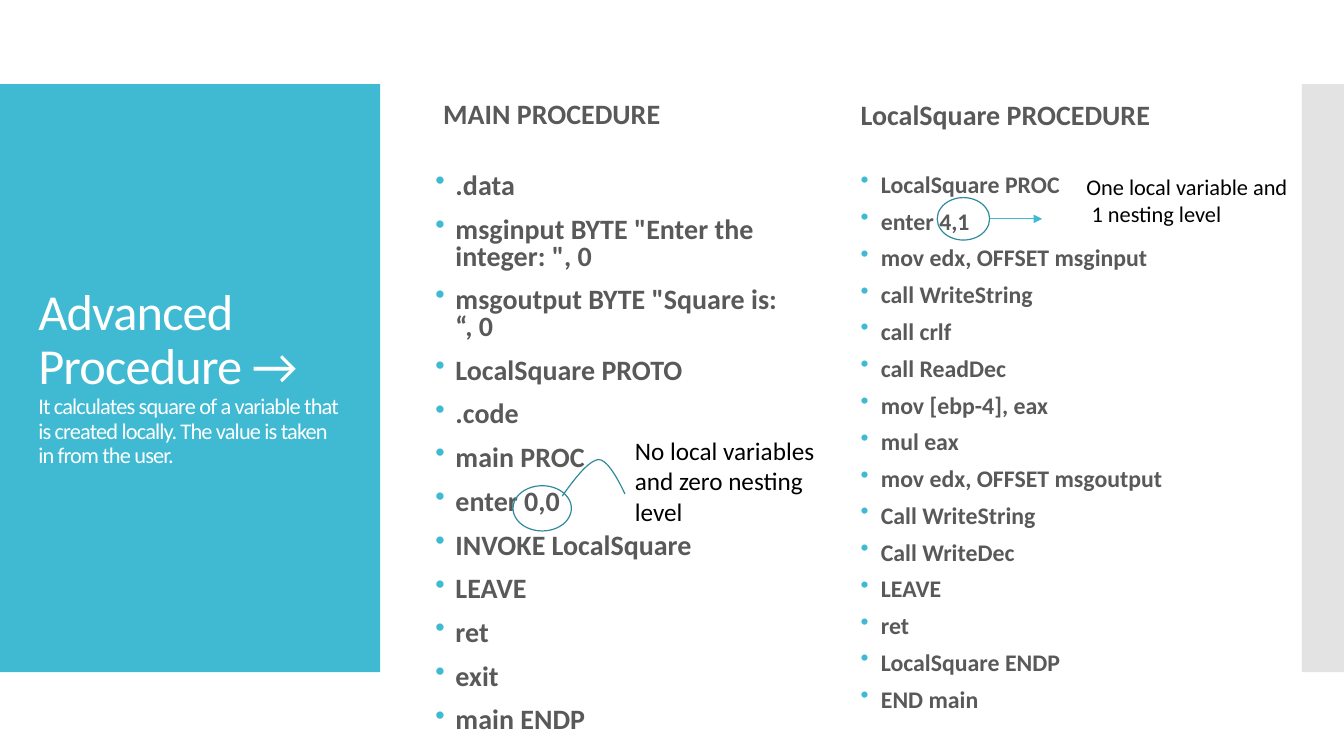
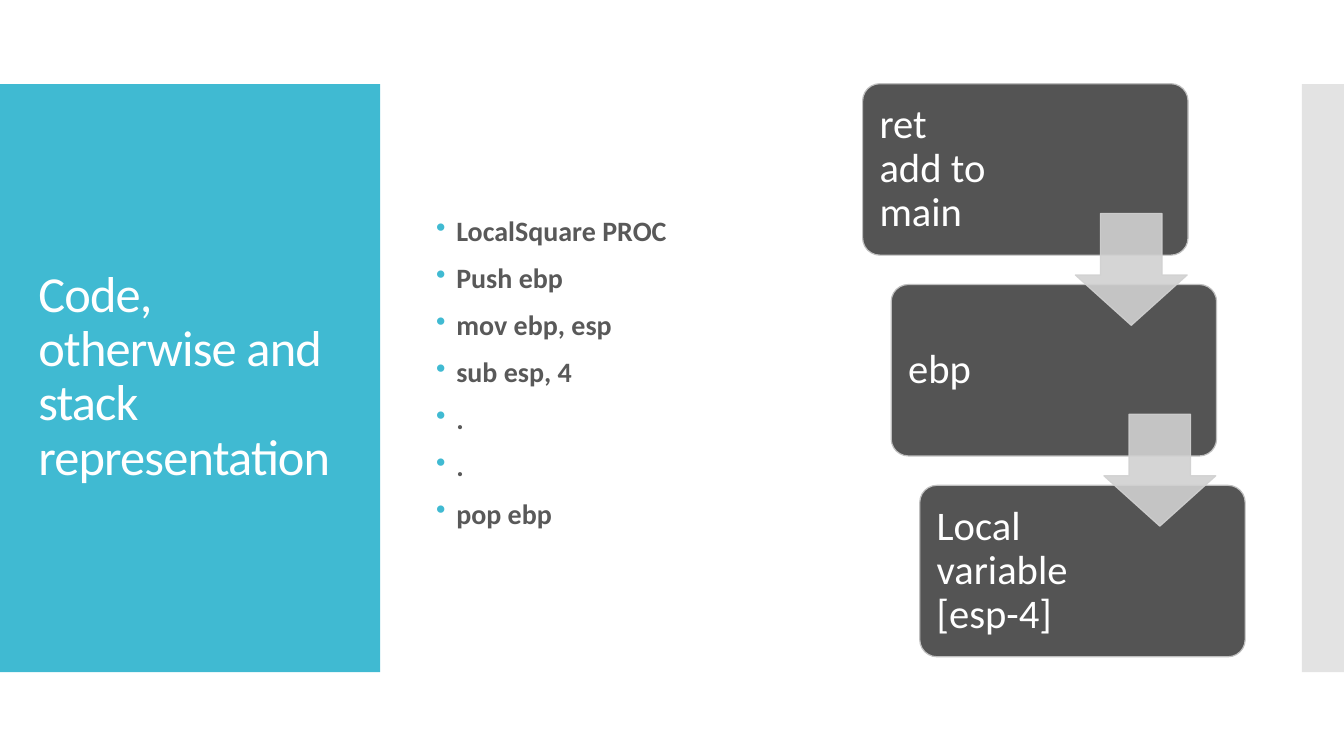
from lxml import etree
from pptx import Presentation
from pptx import util as u
from pptx.dml.color import RGBColor
from pptx.enum import shapes, text
from pptx.oxml.ns import qn

TEAL = RGBColor(0x40, 0xBA, 0xD2)
DARK_TEAL = RGBColor(0x2F, 0x8A, 0x9B)
BAND_GRAY = RGBColor(0xC8, 0xC8, 0xC8)
TEXT_GRAY = RGBColor(0x59, 0x59, 0x59)
BOX_GRAY = RGBColor(0x54, 0x54, 0x54)
EDGE_GRAY = RGBColor(0xBF, 0xBF, 0xBF)
ARROW_GRAY = RGBColor(0xD1, 0xD1, 0xD1)
WHITE = RGBColor(0xFF, 0xFF, 0xFF)
BLACK = RGBColor(0, 0, 0)
FONT = "Calibri"

BAND_TOP, BAND_HEIGHT = 2.12, 14.82
BANDS = [(0, 9.58, TEAL, 100), (32.81, 1.06, BAND_GRAY, 50)]
TITLE_BOX = (0.71, 3.12, 8.18, 12.78)

PROCEDURE_TITLE = "Advanced Procedure →"
PROCEDURE_SUBTITLE = (
    "It calculates square of a variable that is created locally. "
    "The value is taken in from the user."
)
STACK_TITLE = "Code, otherwise and stack representation"

MAIN_CODE = [
    ".data",
    'msginput BYTE "Enter the integer: ", 0',
    'msgoutput BYTE "Square is: “, 0',
    "LocalSquare PROTO",
    ".code",
    "main PROC",
    "enter 0,0",
    "INVOKE LocalSquare",
    "LEAVE",
    "ret",
    "exit",
    "main ENDP",
]
SQUARE_CODE = [
    "LocalSquare PROC",
    "enter 4,1",
    "mov edx, OFFSET msginput",
    "call WriteString",
    "call crlf",
    "call ReadDec",
    "mov [ebp-4], eax",
    "mul eax",
    "mov edx, OFFSET msgoutput",
    "Call WriteString",
    "Call WriteDec",
    "LEAVE",
    "ret",
    "LocalSquare ENDP",
    "END main",
]
STACK_CODE = [
    "LocalSquare PROC", "Push ebp", "mov ebp, esp", "sub esp, 4",
    ".", ".", "pop ebp",
]
HEADINGS = [
    ("MAIN PROCEDURE", (10.92, 1.17, 9.65, 2.24)),
    ("LocalSquare PROCEDURE", (21.44, 1.17, 9.65, 2.26)),
]
LISTINGS = [
    (MAIN_CODE, (10.72, 4.24, 9.65, 14.43), 20, 0.8),
    (SQUARE_CODE, (21.44, 4.24, 9.65, 13.94), 17, 0.7),
]
MAIN_NOTE = ["No local variables and zero nesting level"]
SQUARE_NOTE = ["One local variable and", "1 nesting level"]
OPERAND_RINGS = [(12.93, 12.24, 1.47, 1.14), (23.62, 4.98, 1.32, 1.07)]
NOTE_CURVES = [
    [(14.17, 12.5), (14.5, 12.04), (14.83, 11.61), (15.09, 11.58)],
    [(15.09, 11.58), (15.37, 11.58), (15.75, 12.45), (15.75, 12.45)],
]
CURVE_STEPS = 12

STACK_CELLS = [
    ("ret add to main", 4.83),
    ("ebp", 3.84),
    ("Local variable [esp-4]", 3.84),
]
CELL_LEFT, CELL_TOP, CELL_WIDTH, CELL_HEIGHT = 21.74, 2.11, 8.2, 4.32
STEP_X, STEP_Y = 0.72, 5.06
ARROW_DX, ARROW_DY, ARROW_SIZE = 5.36, 3.27, 2.82


def lengths(box):
    return [u.Cm(value) for value in box]


def add_bullet(paragraph):
    properties = paragraph._p.get_or_add_pPr()
    properties.set("marL", str(u.Cm(0.51)))
    properties.set("indent", str(-u.Cm(0.51)))
    color = etree.SubElement(properties, qn("a:buClr"))
    etree.SubElement(color, qn("a:srgbClr")).set("val", str(TEAL))
    etree.SubElement(properties, qn("a:buChar")).set("char", "•")


def write_text(shape, lines, size=20, color=TEXT_GRAY, bold=False,
               spacing=None, before=0, bullet=False, tracking=None,
               anchor=text.MSO_ANCHOR.MIDDLE):
    frame = shape.text_frame
    frame.word_wrap = True
    frame.auto_size = text.MSO_AUTO_SIZE.NONE
    frame.vertical_anchor = anchor
    for index, line in enumerate(lines):
        paragraph = frame.add_paragraph() if index else frame.paragraphs[0]
        if bullet:
            add_bullet(paragraph)
        paragraph.alignment = text.PP_ALIGN.LEFT
        paragraph.space_before = u.Pt(before if index else 0)
        if spacing:
            paragraph.line_spacing = spacing
        run = paragraph.add_run()
        run.text = line
        run.font.name = FONT
        run.font.size = u.Pt(size)
        run.font.bold = bold
        run.font.color.rgb = color
        if tracking:
            run._r.get_or_add_rPr().set("spc", str(int(tracking * 100)))


def add_text(slide, lines, box, **text_format):
    shape = slide.shapes.add_textbox(*lengths(box))
    write_text(shape, lines, **text_format)
    return shape


def style_shape(shape, fill=None, line=None, opacity=100):
    shape.shadow.inherit = False
    if fill is None:
        shape.fill.background()
    else:
        shape.fill.solid()
        shape.fill.fore_color.rgb = fill
    if line is None:
        shape.line.fill.background()
    else:
        shape.line.color.rgb = line
        shape.line.width = u.Pt(0.85)
    if opacity < 100:
        for color in shape._element.spPr.iter(qn("a:srgbClr")):
            etree.SubElement(color, qn("a:alpha")).set("val", str(opacity * 1000))


def add_preset(slide, kind, box, **style):
    shape = slide.shapes.add_shape(kind, *lengths(box))
    style_shape(shape, **style)
    return shape


def move_bands_to_layout(slide):
    layout_tree = slide.slide_layout.shapes._spTree
    for position, (left, width, color, opacity) in enumerate(BANDS):
        band = add_preset(slide, shapes.MSO_SHAPE.RECTANGLE,
                          (left, BAND_TOP, width, BAND_HEIGHT),
                          fill=color, opacity=opacity)
        layout_tree.insert(2 + position, band._element)


def add_titled_slide(presentation, title):
    slide = presentation.slides.add_slide(presentation.slide_layouts[5])
    placeholder = slide.shapes.title
    (placeholder.left, placeholder.top,
     placeholder.width, placeholder.height) = lengths(TITLE_BOX)
    write_text(placeholder, [title], size=36, color=WHITE,
               spacing=0.9, tracking=-0.6)
    return slide


def add_subtitle(slide, subtitle):
    frame = slide.shapes.title.text_frame
    paragraph = frame.add_paragraph()
    paragraph.alignment = text.PP_ALIGN.LEFT
    paragraph.line_spacing = 0.9
    paragraph.space_before = u.Pt(0)
    run = paragraph.add_run()
    run.text = subtitle
    run.font.name = FONT
    run.font.size = u.Pt(16)
    run.font.color.rgb = WHITE
    run._r.get_or_add_rPr().set("spc", "-60")


def curve_point(controls, t):
    weights = ((1 - t) ** 3, 3 * t * (1 - t) ** 2, 3 * t ** 2 * (1 - t), t ** 3)
    return tuple(u.Cm(sum(w * point[axis] for w, point in zip(weights, controls)))
                 for axis in (0, 1))


def add_note_curve(slide):
    points = [curve_point(controls, step / CURVE_STEPS)
              for controls in NOTE_CURVES for step in range(CURVE_STEPS + 1)]
    builder = slide.shapes.build_freeform(*points[0])
    builder.add_line_segments(points[1:], close=False)
    style_shape(builder.convert_to_shape(), line=DARK_TEAL)


def add_note_arrow(slide, ring):
    left, top, width, height = ring
    start, middle = left + width, top + height / 2
    connector = slide.shapes.add_connector(
        shapes.MSO_CONNECTOR.STRAIGHT,
        *lengths((start, middle, start + 1.32, middle)))
    connector.line.color.rgb = TEAL
    connector.line.width = u.Pt(0.75)
    line = connector.line._get_or_add_ln()
    etree.SubElement(line, qn("a:tailEnd")).set("type", "triangle")
    etree.SubElement(connector._element.spPr, qn("a:effectLst"))


def build_procedure_slide(presentation):
    slide = add_titled_slide(presentation, PROCEDURE_TITLE)
    move_bands_to_layout(slide)
    add_subtitle(slide, PROCEDURE_SUBTITLE)
    for heading, box in HEADINGS:
        add_text(slide, [heading], box, bold=True, spacing=0.9,
                 anchor=text.MSO_ANCHOR.BOTTOM)
    for code, box, size, spacing in LISTINGS:
        add_text(slide, code, box, size=size, bold=True, spacing=spacing,
                 before=12, bullet=True)
    for ring in OPERAND_RINGS:
        add_preset(slide, shapes.MSO_SHAPE.OVAL, ring, line=DARK_TEAL)
    add_note_curve(slide)
    add_note_arrow(slide, OPERAND_RINGS[1])
    add_text(slide, MAIN_NOTE, (15.75, 10.85, 6.05, 2.57), size=18,
             color=BLACK, anchor=text.MSO_ANCHOR.TOP)
    note = add_text(slide, SQUARE_NOTE, (27.13, 4.24, 6.05, 1.63), size=16,
                    color=BLACK, anchor=text.MSO_ANCHOR.TOP)
    second_line = note.text_frame.paragraphs[1]
    second_line._p.get_or_add_pPr().set("marL", str(u.Cm(0.13)))


def build_stack_slide(presentation):
    slide = add_titled_slide(presentation, STACK_TITLE)
    add_text(slide, STACK_CODE, (10.74, 5.36, 9.65, 11.18), bold=True,
             spacing=0.9, before=12, bullet=True, anchor=text.MSO_ANCHOR.TOP)
    corners = [(CELL_LEFT + i * STEP_X, CELL_TOP + i * STEP_Y)
               for i in range(len(STACK_CELLS))]
    for (label, right_margin), (left, top) in zip(STACK_CELLS, corners):
        cell = add_preset(slide, shapes.MSO_SHAPE.ROUNDED_RECTANGLE,
                          (left, top, CELL_WIDTH, CELL_HEIGHT),
                          fill=BOX_GRAY, line=EDGE_GRAY)
        cell.adjustments[0] = 0.1
        cell.text_frame.margin_left = u.Cm(0.3)
        cell.text_frame.margin_right = u.Cm(right_margin)
        write_text(cell, [label], size=29, color=WHITE, spacing=0.9)
    for left, top in corners[:-1]:
        arrow = add_preset(slide, shapes.MSO_SHAPE.DOWN_ARROW,
                           (left + ARROW_DX, top + ARROW_DY,
                            ARROW_SIZE, ARROW_SIZE),
                           fill=ARROW_GRAY, line=ARROW_GRAY, opacity=90)
        arrow.adjustments[0] = 0.55
        arrow.adjustments[1] = 0.45


def main():
    presentation = Presentation()
    presentation.slide_width = u.Cm(33.87)
    presentation.slide_height = u.Cm(19.05)
    build_procedure_slide(presentation)
    build_stack_slide(presentation)
    presentation.save("out.pptx")


if __name__ == "__main__":
    main()
